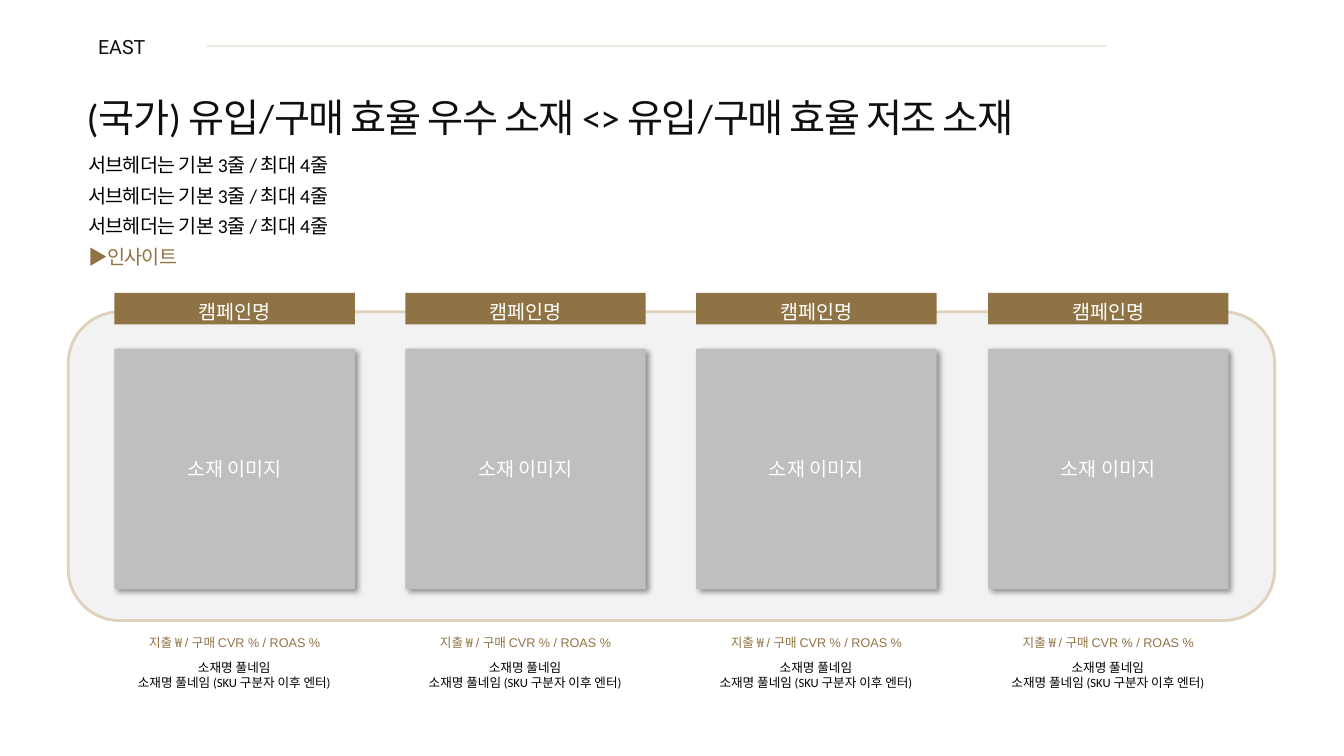
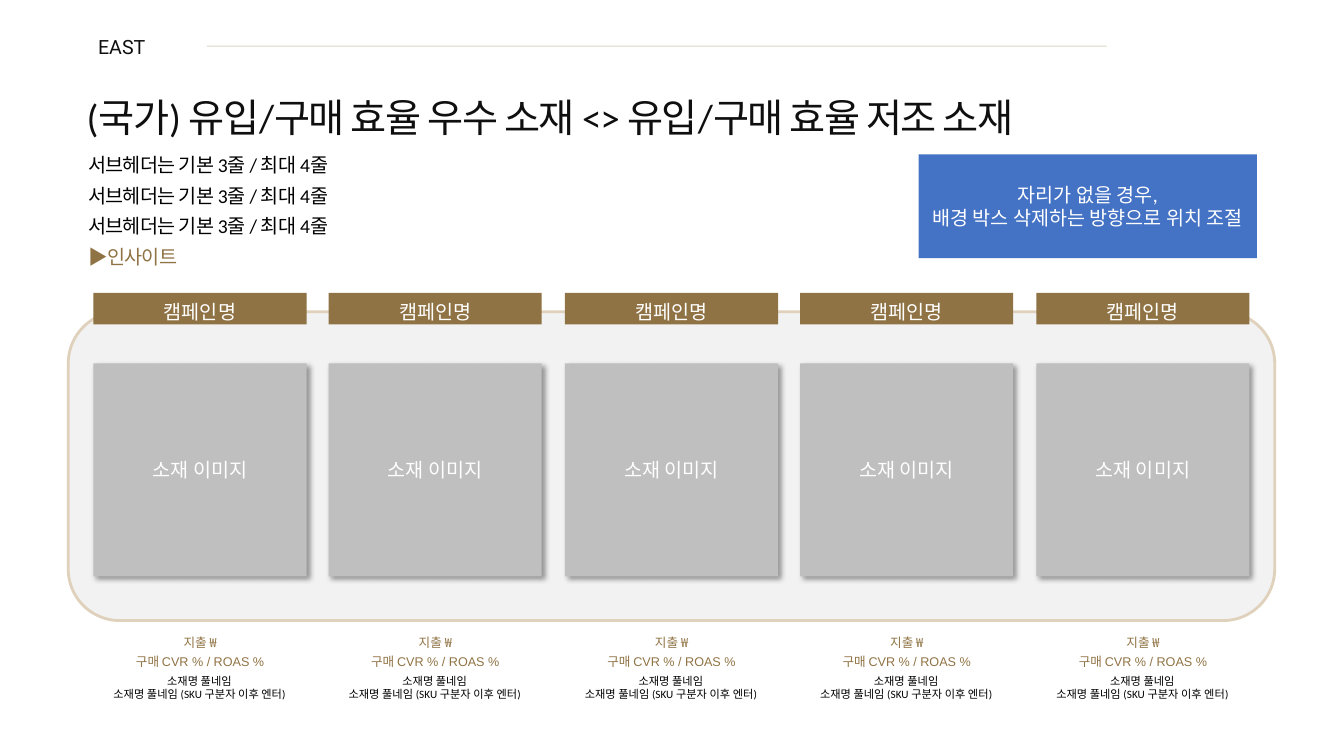
from dataclasses import dataclass
from typing import Optional

from lxml import etree
from pptx import Presentation
from pptx.dml.color import RGBColor
from pptx.enum.shapes import MSO_CONNECTOR, MSO_SHAPE
from pptx.enum.text import MSO_ANCHOR, MSO_AUTO_SIZE, PP_ALIGN
from pptx.oxml.ns import qn
from pptx.util import Emu, Pt

EMU_PER_PX = 9525
RECTANGLE = MSO_SHAPE.RECTANGLE
ROUNDED = MSO_SHAPE.ROUNDED_RECTANGLE
STRAIGHT = MSO_CONNECTOR.STRAIGHT
TOP, MIDDLE = MSO_ANCHOR.TOP, MSO_ANCHOR.MIDDLE
LEFT, CENTER = PP_ALIGN.LEFT, PP_ALIGN.CENTER
GROW, FIXED = MSO_AUTO_SIZE.SHAPE_TO_FIT_TEXT, MSO_AUTO_SIZE.NONE
TITLE_ONLY = 5


@dataclass(frozen=True)
class TextStyle:
    font: str
    size: int
    color: str
    tracking: int = 0


@dataclass(frozen=True)
class Theme:
    background: str = "FFFFFF"
    gold: str = "907344"
    panel: str = "F2F2F2"
    panel_line: str = "DFD1BB"
    image: str = "BFBFBF"
    note: str = "4472C4"
    shadow: str = "000000"
    label: TextStyle = TextStyle("Roboto", 14, "0F0F0F")
    title: TextStyle = TextStyle("Calibri", 28, "0F0F0F", -100)
    subheader: TextStyle = TextStyle("Calibri", 14, "000000", -50)
    insight: TextStyle = TextStyle("Arial", 14, "907344", -50)
    tag: TextStyle = TextStyle("Arial", 14, "FFFFFF")
    filler: TextStyle = TextStyle("Lato", 14, "FFFFFF")
    metrics: TextStyle = TextStyle("Arial", 9, "907344")
    names: TextStyle = TextStyle("Calibri", 9, "000000")
    names_small: TextStyle = TextStyle("Calibri", 8, "000000")


THEME = Theme()


@dataclass(frozen=True)
class Box:
    left: int
    top: int
    width: int
    height: int

    def emu(self) -> tuple:
        return tuple(px(value) for value in (self.left, self.top, self.width, self.height))


@dataclass(frozen=True)
class Line:
    text: str
    style: TextStyle


@dataclass(frozen=True)
class TextLayout:
    align: PP_ALIGN = LEFT
    anchor: MSO_ANCHOR = TOP
    fit: MSO_AUTO_SIZE = GROW
    spacing: Optional[float] = None
    padded: bool = True


@dataclass(frozen=True)
class CardRow:
    count: int
    first_left: int
    last_left: int
    width: int
    image_top: int
    metrics: tuple[str, ...]
    metrics_width: int
    metrics_height: int
    names_top: int
    names_style: TextStyle
    note: tuple[str, ...] = ()


PLAIN = TextLayout()
LABEL = TextLayout(anchor=MIDDLE)
SUBHEADER = TextLayout(spacing=1.3, padded=False)
CAPTION = TextLayout(CENTER, spacing=1.3, padded=False)
NAMES = TextLayout(CENTER, fit=FIXED)
FILLED = TextLayout(CENTER, MIDDLE, FIXED)

TITLE = "(국가) 유입/구매 효율 우수 소재 <> 유입/구매 효율 저조 소재"
SUBHEADER_LINES = [Line("서브헤더는 기본 3줄 / 최대 4줄", THEME.subheader)] * 3 + [
    Line("▶인사이트", THEME.insight)
]
ASSET_NAMES = ("소재명 풀네임", "소재명 풀네임 (SKU 구분자 이후 엔터)")
NAMES_WIDTH = 260

CARD_ROWS = (
    CardRow(4, 109, 941, 229, 332, ("지출 ₩ / 구매 CVR % / ROAS %",), 267, 19, 624, THEME.names),
    CardRow(5, 89, 987, 203, 346, ("지출 ₩", "구매 CVR % / ROAS %"), 221, 37, 637,
            THEME.names_small, ("자리가 없을 경우,", "배경 박스 삭제하는 방향으로 위치 조절")),
)


def px(value: int) -> Emu:
    return Emu(value * EMU_PER_PX)


def rgb(color: str) -> RGBColor:
    return RGBColor.from_string(color)


def styled(texts: tuple, style: TextStyle) -> list:
    return [Line(text, style) for text in texts]


def write(shape, lines: list, layout: TextLayout) -> None:
    frame = shape.text_frame
    frame.word_wrap = True
    frame.auto_size = layout.fit
    frame.vertical_anchor = layout.anchor
    if not layout.padded:
        frame.margin_left = frame.margin_top = frame.margin_right = frame.margin_bottom = 0
    for index, line in enumerate(lines):
        paragraph = frame.add_paragraph() if index else frame.paragraphs[0]
        paragraph.alignment = layout.align
        if layout.spacing:
            paragraph.line_spacing = layout.spacing
        run = paragraph.add_run()
        run.text = line.text
        run.font.name = line.style.font
        run.font.size = Pt(line.style.size)
        run.font.color.rgb = rgb(line.style.color)
        if line.style.tracking:
            run.font._element.set("spc", str(line.style.tracking))


def add_text(shapes, box: Box, lines: list, layout: TextLayout) -> None:
    write(shapes.add_textbox(*box.emu()), lines, layout)


def add_block(shapes, box: Box, fill: str, preset: MSO_SHAPE = RECTANGLE):
    shape = shapes.add_shape(preset, *box.emu())
    shape.shadow.inherit = False
    shape.fill.solid()
    shape.fill.fore_color.rgb = rgb(fill)
    shape.line.fill.background()
    return shape


def add_alpha(color_element, percent: int) -> None:
    etree.SubElement(color_element, qn("a:alpha")).set("val", str(percent * 1000))


def cast_shadow(shape) -> None:
    effects = shape.element.spPr.find(qn("a:effectLst"))
    shadow = etree.SubElement(effects, qn("a:outerShdw"), blurRad=str(Pt(4)), dist=str(Pt(3)),
                              dir="2700000", algn="tl", rotWithShape="0")
    add_alpha(etree.SubElement(shadow, qn("a:srgbClr"), val=THEME.shadow), 40)


def add_header(slide) -> None:
    rule = slide.shapes.add_connector(STRAIGHT, px(197), px(44), px(1054), px(44))
    rule.line.color.rgb = rgb(THEME.gold)
    rule.line.width = Pt(0.75)
    properties = rule.element.spPr
    add_alpha(next(properties.iter(qn("a:srgbClr"))), 30)
    etree.SubElement(properties, qn("a:effectLst"))
    add_text(slide.shapes, Box(84, 28, 166, 33), [Line("EAST", THEME.label)], LABEL)

    title = slide.shapes.title
    title.left, title.top, title.width, title.height = Box(73, 84, 1139, 55).emu()
    write(title, [Line(TITLE, THEME.title)], PLAIN)
    add_text(slide.shapes, Box(84, 139, 1139, 116), SUBHEADER_LINES, SUBHEADER)


def add_panel(slide) -> None:
    panel = add_block(slide.shapes, Box(65, 297, 1149, 294), THEME.panel, ROUNDED)
    panel.line.color.rgb = rgb(THEME.panel_line)
    panel.line.width = Pt(2)


def add_card(slide, row: CardRow, left: int) -> None:
    tag = add_block(slide.shapes, Box(left, 279, row.width, 30), THEME.gold)
    write(tag, [Line("캠페인명", THEME.tag)], CAPTION)

    image = add_block(slide.shapes, Box(left, row.image_top, row.width, row.width), THEME.image)
    cast_shadow(image)
    write(image, [Line("소재 이미지", THEME.filler)], FILLED)

    captions = slide.shapes.add_group_shape().shapes
    metrics_left = left + (row.width - row.metrics_width) // 2
    add_text(captions, Box(metrics_left, 600, row.metrics_width, row.metrics_height),
             styled(row.metrics, THEME.metrics), CAPTION)
    names_left = left + (row.width - NAMES_WIDTH) // 2
    add_text(captions, Box(names_left, row.names_top, NAMES_WIDTH, 42),
             styled(ASSET_NAMES, row.names_style), NAMES)


def build_slide(presentation, row: CardRow) -> None:
    slide = presentation.slides.add_slide(presentation.slide_layouts[TITLE_ONLY])
    slide.background.fill.solid()
    slide.background.fill.fore_color.rgb = rgb(THEME.background)
    add_header(slide)
    add_panel(slide)
    for index in range(row.count):
        offset = (row.last_left - row.first_left) * index // (row.count - 1)
        add_card(slide, row, row.first_left + offset)
    if row.note:
        note = add_block(slide.shapes, Box(875, 147, 322, 99), THEME.note)
        write(note, styled(row.note, THEME.filler), FILLED)


def main() -> None:
    presentation = Presentation()
    presentation.slide_width = px(1280)
    presentation.slide_height = px(720)
    for row in CARD_ROWS:
        build_slide(presentation, row)
    presentation.save("out.pptx")


if __name__ == "__main__":
    main()
